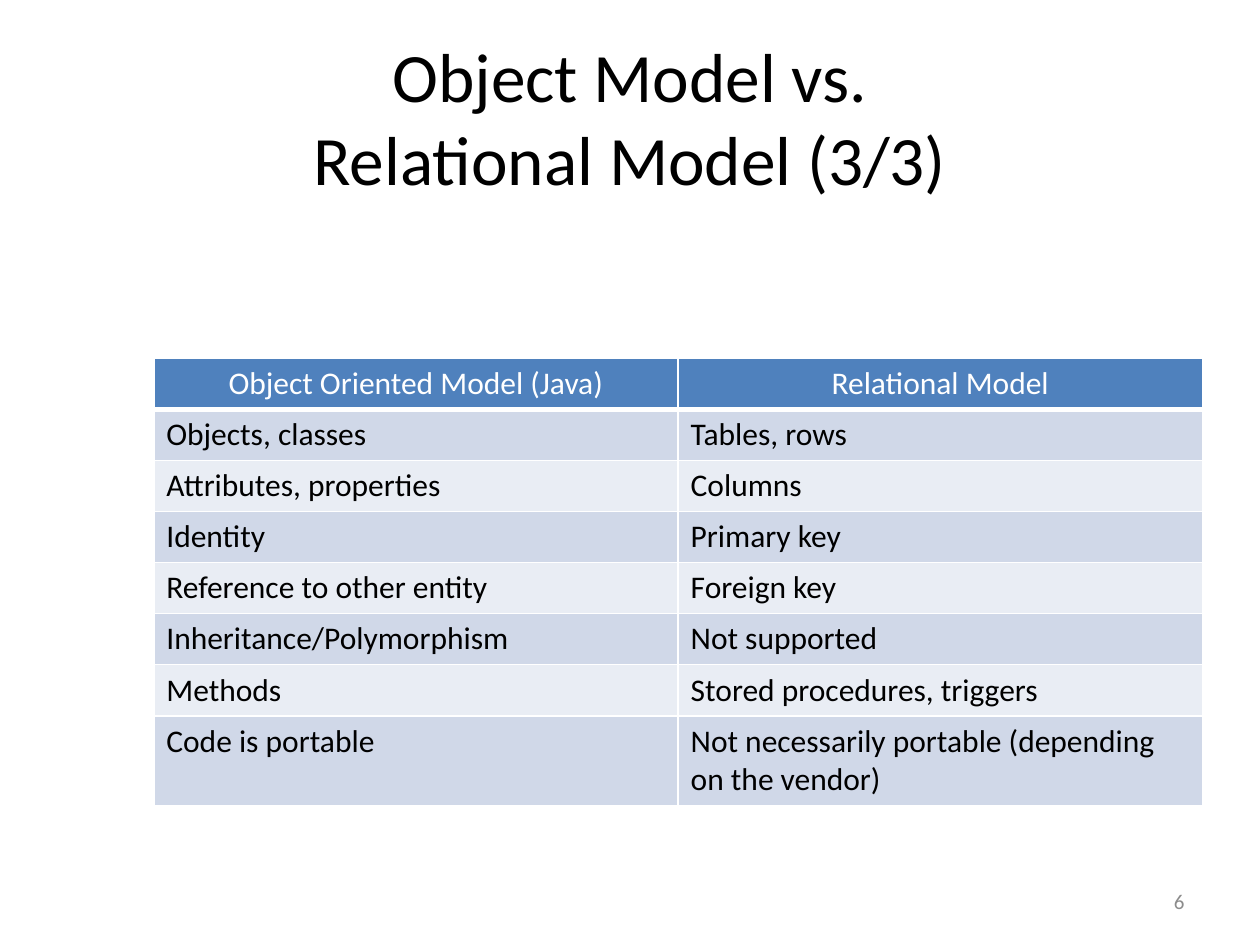
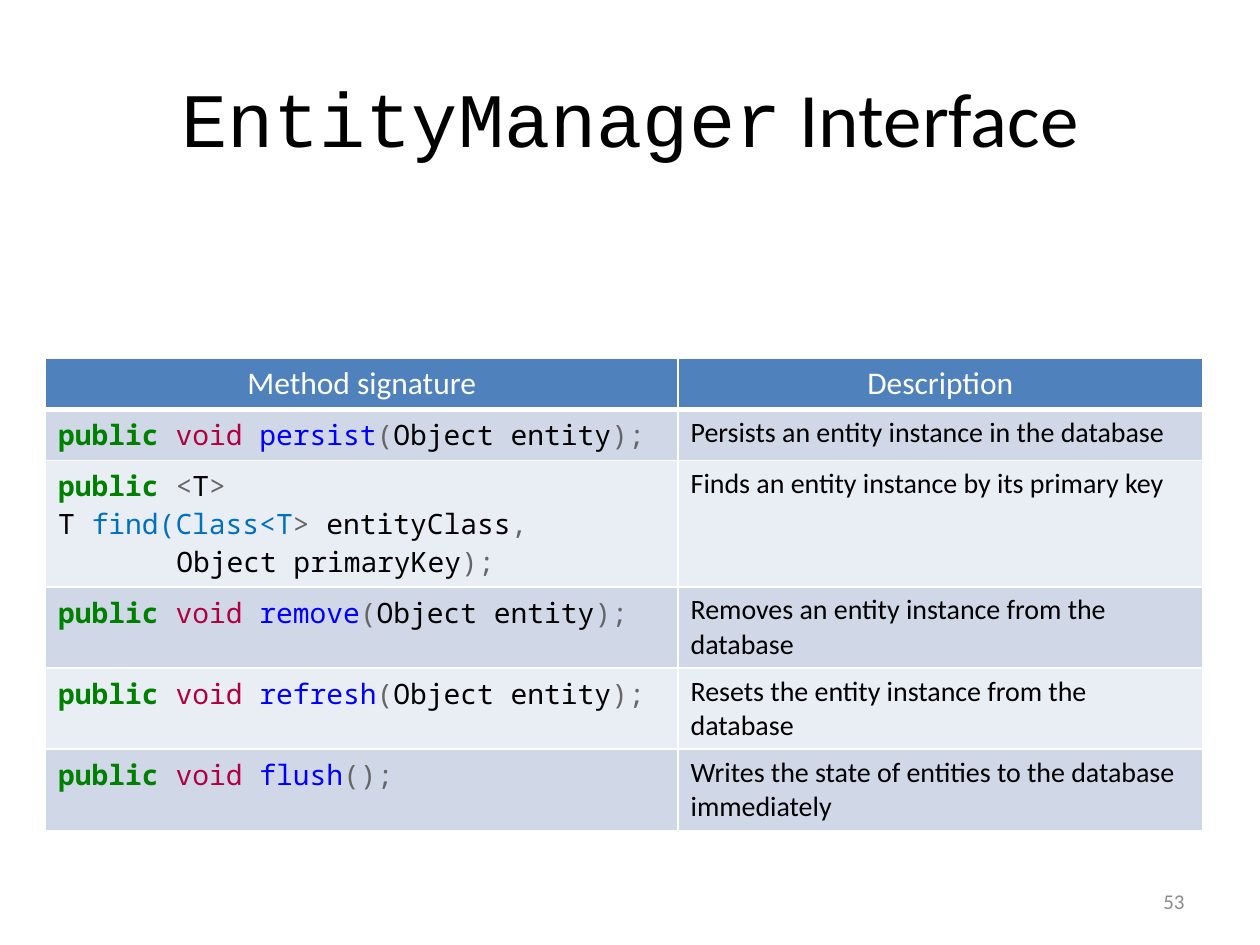
"""Build two table slides on object-relational mapping."""
import pptx
import pptx.dml.color
import pptx.enum.text
import pptx.oxml
import pptx.oxml.ns
import pptx.util

Cm, Pt = pptx.util.Cm, pptx.util.Pt
ALIGN = pptx.enum.text.PP_ALIGN

COLOURS = {
    "black": "000000", "white": "FFFFFF", "header": "4F81BD",
    "band_dark": "D0D8E8", "band_light": "E9EDF4", "number": "8C8C8C",
    "keyword": "008000", "type": "B00040", "method": "0000FF",
    "mark": "666666", "generic": "0070C0",
}
SANS, CODE, TITLE_CODE = "Calibri", "Noto Sans Mono", "Courier New"
CODE_INDENT = Cm(2.38)


def signature(method, argument=""):
    """Return the coloured spans of a one-line void method."""
    start = [("public ", "keyword"), ("void ", "type"), (method, "method")]
    if argument:
        return [start + [("(", "mark"), (argument, "black"), (");", "mark")]]
    return [start + [("();", "mark")]]


FIND_SIGNATURE = [
    [("public ", "keyword"), ("<", "mark"), ("T", "black"), (">", "mark")],
    [("T ", "black"), ("find(Class<T", "generic"), ("> ", "mark"),
     ("entityClass", "black"), (",", "mark")],
    [("Object primaryKey", "black"), (");", "mark")],
]

SLIDES = [
    {
        "title": [[("Object Model vs.", SANS)], [("Relational Model (3/3)", SANS)]],
        "title_size": 39.6,
        "number": "6",
        "left": 3.1,
        "widths": (10.57, 10.57),
        "body_size": 18,
        "rows": [
            ("Object Oriented Model (Java)", "Relational Model"),
            ("Objects, classes", "Tables, rows"),
            ("Attributes, properties", "Columns"),
            ("Identity", "Primary key"),
            ("Reference to other entity", "Foreign key"),
            ("Inheritance/Polymorphism", "Not supported"),
            ("Methods", "Stored procedures, triggers"),
            ("Code is portable", "Not necessarily portable (depending on the vendor)"),
        ],
    },
    {
        "title": [[("EntityManager", TITLE_CODE), (" Interface", SANS)]],
        "title_size": 44,
        "number": "53",
        "left": 0.92,
        "widths": (12.75, 10.57),
        "body_size": 16,
        "rows": [
            ("Method signature", "Description"),
            (signature("persist", "Object entity"),
             "Persists an entity instance in the database"),
            (FIND_SIGNATURE, "Finds an entity instance by its primary key"),
            (signature("remove", "Object entity"),
             "Removes an entity instance from the database"),
            (signature("refresh", "Object entity"),
             "Resets the entity instance from the database"),
            (signature("flush"),
             "Writes the state of entities to the database immediately"),
        ],
    },
]
TABLE_TOP, ROW_HEIGHT = 7.22, 1.03


def rgb(name):
    """Look up a named colour."""
    return pptx.dml.color.RGBColor.from_string(COLOURS[name])


def add_span(para, text, size, colour="black", font=SANS, bold=False):
    """Append one formatted run."""
    span = para.add_run()
    span.text = text
    span.font.size, span.font.name, span.font.bold = Pt(size), font, bold
    span.font.color.rgb = rgb(colour)


def place(box, left, top, width, height):
    """Position a box and centre its text vertically."""
    box.left, box.top, box.width, box.height = map(Cm, (left, top, width, height))
    frame = box.text_frame
    frame.word_wrap = True
    frame.auto_size = pptx.enum.text.MSO_AUTO_SIZE.NONE
    frame.vertical_anchor = pptx.enum.text.MSO_ANCHOR.MIDDLE
    return frame.paragraphs[0]


def add_title(slide, lines, size):
    """Fill the title placeholder."""
    para = place(slide.shapes.title, 1.27, 0.76, 22.86, 3.18)
    para.alignment = ALIGN.CENTER
    for index, line in enumerate(lines):
        if index:
            para.add_line_break()
        for text, font in line:
            add_span(para, text, size, font=font)


def add_number(slide, number):
    """Write the slide number at the lower right."""
    box = slide.shapes.add_textbox(0, 0, 0, 0)
    para = place(box, 18.2, 17.65, 5.93, 1.02)
    para.alignment = ALIGN.RIGHT
    add_span(para, number, 12, "number")


def set_borders(cell, bottom):
    """Draw white cell borders."""
    properties = cell._tc.get_or_add_tcPr()
    for side, width in (("L", 1), ("R", 1), ("T", 1), ("B", bottom)):
        properties.append(pptx.oxml.parse_xml(
            f'<a:ln{side} {pptx.oxml.ns.nsdecls("a")} w="{Pt(width)}"><a:solidFill>'
            f'<a:srgbClr val="{COLOURS["white"]}"/></a:solidFill></a:ln{side}>'))


def fill_cell(cell, content, row, size):
    """Format a cell and write plain text or lines of code."""
    is_header = row == 0
    set_borders(cell, 3 if is_header else 1)
    cell.fill.solid()
    band = "band_dark" if row % 2 else "band_light"
    cell.fill.fore_color.rgb = rgb("header" if is_header else band)
    para = cell.text_frame.paragraphs[0]
    if isinstance(content, str):
        para.alignment = ALIGN.CENTER if is_header else ALIGN.LEFT
        add_span(para, content, 18 if is_header else size,
                 "white" if is_header else "black")
        return
    for index, line in enumerate(content):
        if index:
            para = cell.text_frame.add_paragraph()
        if index == 2:
            para._p.get_or_add_pPr().set("marL", str(CODE_INDENT))
        for text, colour in line:
            add_span(para, text, size, colour, CODE, colour == "keyword")


def add_grid(slide, left, widths, rows, size):
    """Add the banded table."""
    table = slide.shapes.add_table(
        len(rows), len(widths), Cm(left), Cm(TABLE_TOP),
        Cm(sum(widths)), Cm(ROW_HEIGHT * len(rows))).table
    for column, width in zip(table.columns, widths):
        column.width = Cm(width)
    for row, contents in enumerate(rows):
        table.rows[row].height = Cm(ROW_HEIGHT)
        for column, content in enumerate(contents):
            fill_cell(table.cell(row, column), content, row, size)


def main():
    """Build and save the deck."""
    deck = pptx.Presentation()
    deck.slide_width, deck.slide_height = Cm(25.4), Cm(19.05)
    layout = deck.slide_layouts.get_by_name("Title Only")
    for page in SLIDES:
        slide = deck.slides.add_slide(layout)
        add_title(slide, page["title"], page["title_size"])
        add_grid(slide, page["left"], page["widths"], page["rows"], page["body_size"])
        add_number(slide, page["number"])
    deck.save("out.pptx")


if __name__ == "__main__":
    main()
